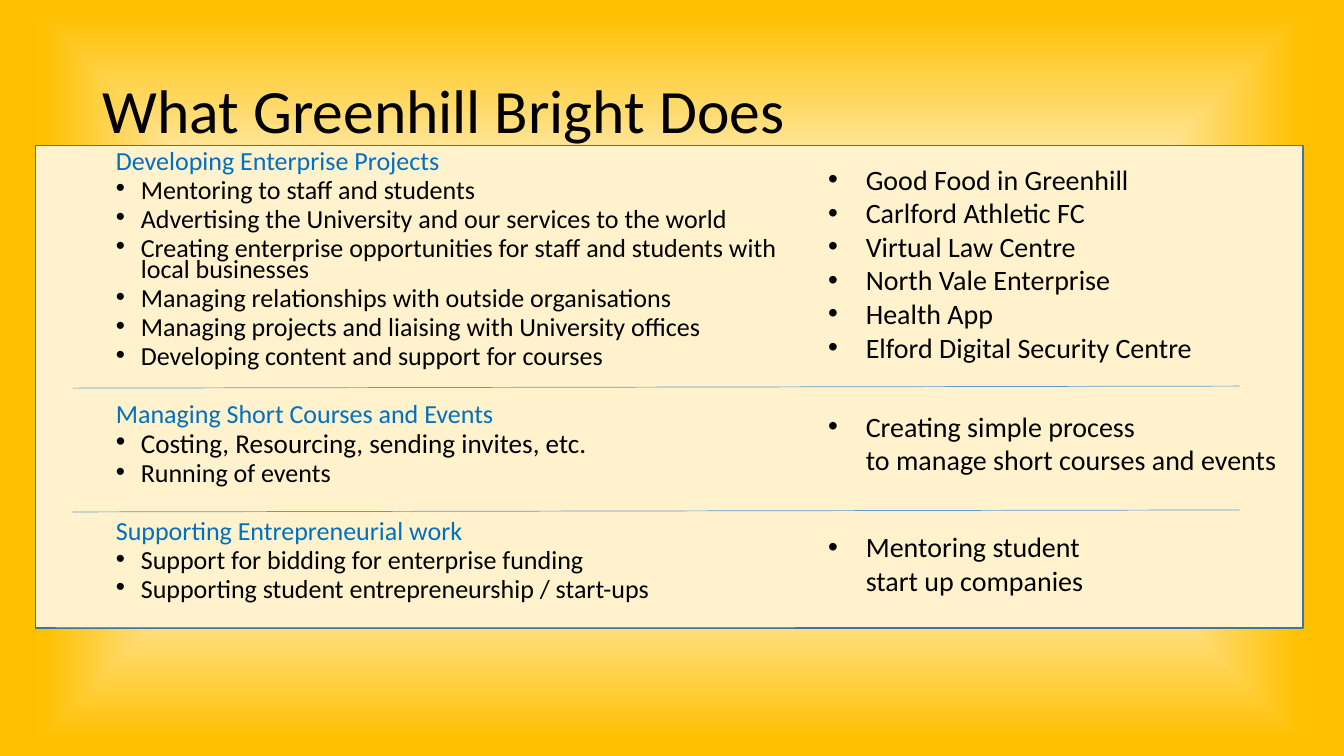
from lxml import etree
from pptx import Presentation
from pptx.dml.color import RGBColor
from pptx.enum.shapes import MSO_CONNECTOR, MSO_SHAPE
from pptx.enum.text import MSO_ANCHOR, PP_ALIGN
from pptx.oxml.ns import qn
from pptx.util import Cm, Pt

RECT = MSO_SHAPE.RECTANGLE
STRAIGHT = MSO_CONNECTOR.STRAIGHT
TOP, MIDDLE = MSO_ANCHOR.TOP, MSO_ANCHOR.MIDDLE
LEFT = PP_ALIGN.LEFT

AMBER = RGBColor(0xFF, 0xC0, 0x00)
CREAM = RGBColor(0xFF, 0xF2, 0xCC)
BORDER = RGBColor(0x43, 0x73, 0x9E)
RULE = RGBColor(0x5B, 0x9B, 0xD5)
HEADING = RGBColor(0x00, 0x70, 0xC0)
BLACK = RGBColor(0, 0, 0)
FONT = "Calibri"
BODY_SIZE = 18.6

# Heading, then (text, size) bullets
SECTIONS = [
    ("Developing Enterprise Projects", [
        ("Mentoring to staff and students", BODY_SIZE),
        ("Advertising the University and our services to the world", BODY_SIZE),
        ("Creating enterprise opportunities for staff and students with local businesses", BODY_SIZE),
        ("Managing relationships with outside organisations", BODY_SIZE),
        ("Managing projects and liaising with University offices", BODY_SIZE),
        ("Developing content and support for courses", BODY_SIZE),
    ]),
    ("Managing Short Courses and Events", [
        ("Costing, Resourcing, sending invites, etc.", 19.4),
        ("Running of events", BODY_SIZE),
    ]),
    ("Supporting Entrepreneurial work", [
        ("Support for bidding for enterprise funding", BODY_SIZE),
        ("Supporting student entrepreneurship / start-ups", BODY_SIZE),
    ]),
]

# Top, width and height in cm, then the bullets
EXAMPLES = [
    (3.96, 10.6, 5.38, [
        "Good Food in Greenhill",
        "Carlford Athletic FC",
        "Virtual Law Centre",
        "North Vale Enterprise",
        "Health App",
        "Elford Digital Security Centre",
    ]),
    (10.19, 12.24, 1.96, ["Creating simple process\nto manage short courses and events"]),
    (13.23, 7.24, 1.96, ["Mentoring student\nstart up companies"]),
]


def add_rect(s, x, y, w, h, fill=None, line=None, alpha=None):
    sp = s.shapes.add_shape(RECT, Cm(x), Cm(y), Cm(w), Cm(h))
    sp.shadow.inherit = False
    if fill is not None:
        sp.fill.solid()
        sp.fill.fore_color.rgb = fill
    if alpha is not None:
        color = sp.fill._xPr.find(qn("a:solidFill"))[0]
        etree.SubElement(color, qn("a:alpha")).set("val", str(alpha * 1000))
    if line is None:
        sp.line.fill.background()
    else:
        sp.line.color.rgb = line
        sp.line.width = Pt(1)
    return sp


def add_glow(s, x, y, w, h):
    """Rectangle that fades from cream in the middle to amber at the edges."""
    sp = add_rect(s, x, y, w, h)
    sp.fill.gradient()
    grad = sp.fill._xPr.find(qn("a:gradFill"))
    for child in list(grad):
        grad.remove(child)
    stops = etree.SubElement(grad, qn("a:gsLst"))
    for pos, color in ((0, CREAM), (50, CREAM), (100, AMBER)):
        stop = etree.SubElement(stops, qn("a:gs"), pos=str(pos * 1000))
        etree.SubElement(stop, qn("a:srgbClr"), val=str(color))
    shade = etree.SubElement(grad, qn("a:path"))
    shade.set("path", "rect")
    etree.SubElement(shade, qn("a:fillToRect"), l="50000", t="50000", r="50000", b="50000")


def add_box(s, x, y, w, h, anchor=TOP):
    tf = s.shapes.add_textbox(Cm(x), Cm(y), Cm(w), Cm(h)).text_frame
    tf.word_wrap = True
    tf.vertical_anchor = anchor
    return tf


def add_text(tf, text, size, color=BLACK, indent=0, hang=0, spacing=1.0, before=0):
    """Add a paragraph; a hanging indent also gives it a bullet."""
    p = tf.paragraphs[0] if not tf.paragraphs[0].runs else tf.add_paragraph()
    p.text = text
    p.alignment = LEFT
    p.line_spacing = spacing
    p.space_before = Pt(before)
    for r in p.runs:
        r.font.name = FONT
        r.font.size = Pt(size)
        r.font.color.rgb = color
    pPr = p._p.get_or_add_pPr()
    pPr.set("marL", str(Cm(indent)))
    pPr.set("indent", str(-Cm(hang)))
    if hang:
        etree.SubElement(pPr, qn("a:buFont"), typeface="Arial")
        etree.SubElement(pPr, qn("a:buChar"), char="•")


def add_rule(s, y):
    line = s.shapes.add_connector(STRAIGHT, Cm(1.83), Cm(y), Cm(31.24), Cm(y - 0.05))
    line.line.color.rgb = RULE
    line.line.width = Pt(0.5)
    etree.SubElement(line._element.spPr, qn("a:effectLst"))


def main():
    prs = Presentation()
    prs.slide_width, prs.slide_height = Cm(33.87), Cm(19.05)
    s = prs.slides.add_slide(prs.slide_layouts[6])

    # Background and panel
    s.background.fill.solid()
    s.background.fill.fore_color.rgb = AMBER
    add_glow(s, 1.02, 0.33, 31.78, 18.34)
    add_rect(s, 0.89, 3.66, 31.95, 12.17, CREAM, BORDER)

    # Title
    title = add_box(s, 2.34, 1.02, 19.2, 3.68, anchor=MIDDLE)
    add_text(title, "What Greenhill Bright Does", 44, spacing=0.9)

    # Activities on the left
    tf = add_rect(s, 1.4, 3.73, 18.64, 12.09, CREAM, alpha=43).text_frame
    tf.word_wrap = True
    tf.vertical_anchor = TOP
    for i, (heading, bullets) in enumerate(SECTIONS):
        add_text(tf, heading, BODY_SIZE, HEADING, indent=1.27, spacing=0.7,
                 before=26 if i else 5)
        for text, size in bullets:
            add_text(tf, text, size, indent=1.9, hang=0.63, spacing=0.7, before=5)

    # Examples on the right
    for y, w, h, bullets in EXAMPLES:
        tf = add_box(s, 20.62, y, w, h)
        for text in bullets:
            add_text(tf, text, 20, indent=0.95, hang=0.95)

    # Section rules
    for y in (9.78, 12.9):
        add_rule(s, y)

    prs.save("out.pptx")


if __name__ == "__main__":
    main()
